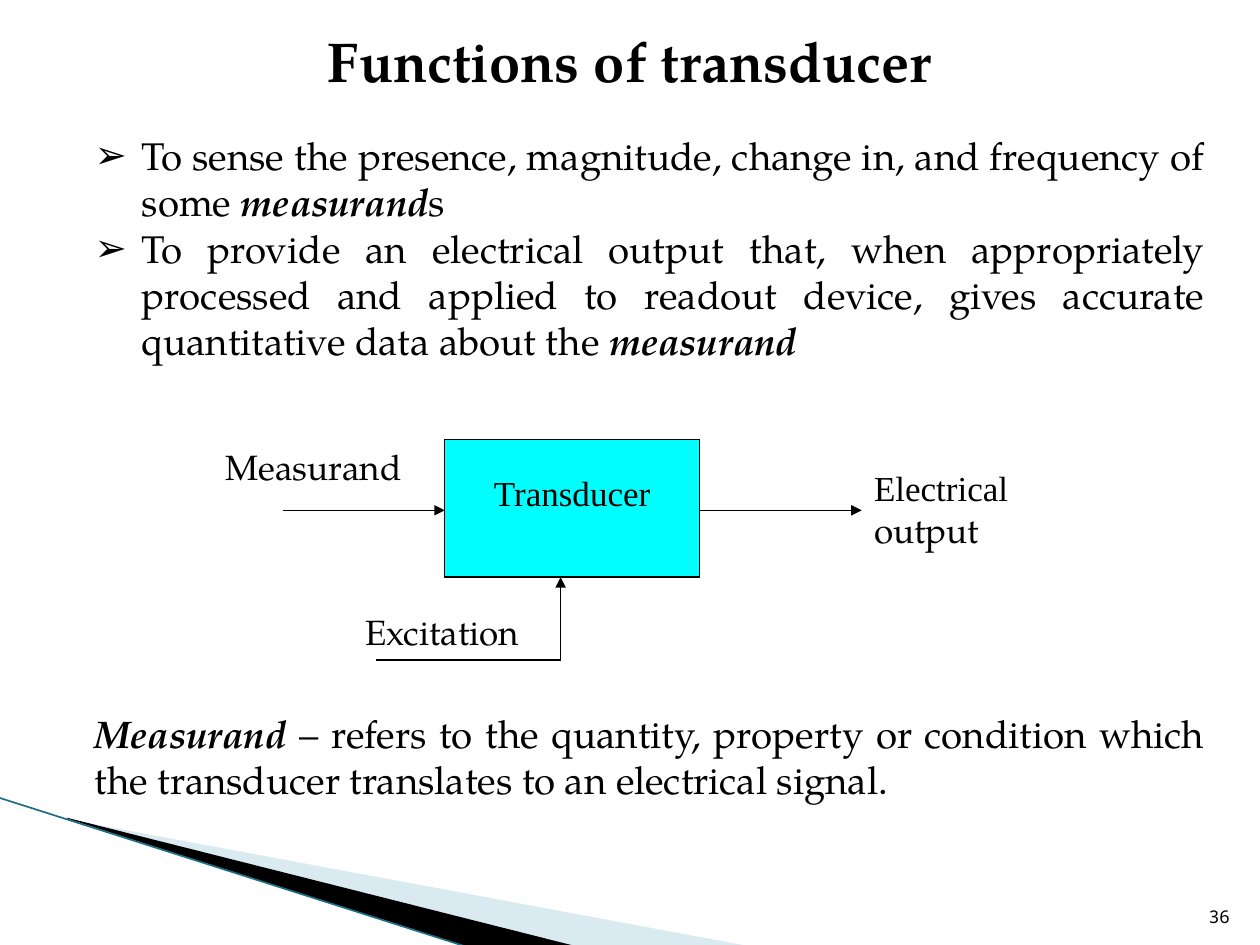
from lxml import etree
from pptx import Presentation
from pptx import util as u
from pptx.dml.color import RGBColor
from pptx.enum import shapes, text
from pptx.oxml.ns import qn

SERIF = "TeX Gyre Pagella"
ROMAN = "Times New Roman"
BLACK = "000000"


def color(value):
    return RGBColor.from_string(value)


def lengths(*points):
    return [u.Pt(point) for point in points]


class SlideBuilder:
    """Holds the current slide and its text and line style."""

    def __init__(self, deck):
        self.slide = deck.slides.add_slide(deck.slide_layouts[1])
        self.shapes = self.slide.shapes

    def style(self, font, size, name=SERIF, bold=None):
        font.size, font.name, font.bold = u.Pt(size), name, bold
        font.color.rgb = color(BLACK)

    def prepare(self, box, anchor):
        frame = box.text_frame
        frame.word_wrap = True
        frame.auto_size = text.MSO_AUTO_SIZE.NONE
        frame.vertical_anchor = anchor
        return frame

    def place(self, box, left, top, width, height):
        box.left, box.top, box.width, box.height = lengths(left, top, width, height)

    def title(self, words, *area):
        box = self.shapes.title
        self.place(box, *area)
        para = self.prepare(box, text.MSO_ANCHOR.MIDDLE).paragraphs[0]
        para.text = words
        para.alignment = text.PP_ALIGN.CENTER
        self.style(para.font, 32, bold=True)

    def body(self, items, *area):
        """Fill the body from (bullet, space before, runs); runs alternate plain and emphasised."""
        box = self.slide.placeholders[1]
        self.place(box, *area)
        frame = self.prepare(box, text.MSO_ANCHOR.TOP)
        for index, (bullet, space, runs) in enumerate(items):
            para = frame.add_paragraph() if index else frame.paragraphs[0]
            self.bullet(para, bullet)
            para.alignment = text.PP_ALIGN.JUSTIFY
            para.space_before = u.Pt(space)
            self.style(para.font, 22)
            for position, words in enumerate(runs):
                if words:
                    span = para.add_run()
                    span.text = words
                    if position % 2:
                        span.font.bold = span.font.italic = True

    def bullet(self, para, mark):
        props = para._p.get_or_add_pPr()
        indent = u.Pt(27) if mark else 0
        props.set("marL", str(indent))
        props.set("indent", str(-indent))
        if mark:
            etree.SubElement(props, qn("a:buChar"), char=mark)
        else:
            etree.SubElement(props, qn("a:buNone"))

    def label(self, runs, *area, size=20, align=text.PP_ALIGN.LEFT,
              anchor=text.MSO_ANCHOR.TOP):
        """Add a text box from (words, font name) runs."""
        box = self.shapes.add_textbox(*lengths(*area))
        para = self.prepare(box, anchor).paragraphs[0]
        para.alignment = align
        for words, name in runs:
            span = para.add_run()
            span.text = words
            self.style(span.font, size, name)

    def block(self, words, fill, *area):
        box = self.shapes.add_shape(shapes.MSO_SHAPE.RECTANGLE, *lengths(*area))
        box.shadow.inherit = False
        box.fill.solid()
        box.fill.fore_color.rgb = color(fill)
        box.line.color.rgb = color(BLACK)
        box.line.width = u.Pt(0.75)
        frame = self.prepare(box, text.MSO_ANCHOR.TOP)
        frame.margin_top = u.Pt(18)
        para = frame.paragraphs[0]
        para.text = words
        para.alignment = text.PP_ALIGN.CENTER
        self.style(para.font, 20, ROMAN)

    def line(self, *ends, stroke=BLACK, width=0.75, arrow=True):
        connector = self.shapes.add_connector(
            shapes.MSO_CONNECTOR.STRAIGHT, *lengths(*ends))
        connector.line.color.rgb = color(stroke)
        connector.line.width = u.Pt(width)
        if arrow:
            etree.SubElement(connector.line._get_or_add_ln(), qn("a:tailEnd"),
                             type="triangle")
        etree.SubElement(connector._element.spPr, qn("a:effectLst"))

    def wedge(self, points, fill, opacity=100):
        start, *rest = [lengths(*point) for point in points]
        builder = self.shapes.build_freeform(*start)
        builder.add_line_segments(rest, close=True)
        wedge = builder.convert_to_shape()
        wedge.shadow.inherit = False
        wedge.fill.solid()
        wedge.fill.fore_color.rgb = color(fill)
        wedge.line.fill.background()
        if opacity < 100:
            tint = wedge._element.spPr.find(qn("a:solidFill"))[0]
            etree.SubElement(tint, qn("a:alpha"), val=str(opacity * 1000))


def main():
    deck = Presentation()
    deck.slide_width, deck.slide_height = lengths(720, 540)
    page = SlideBuilder(deck)

    page.wedge([(39.6, 468.4), (428.4, 540.7), (328.3, 540.7), (39.6, 468)],
               "A0CBDC", opacity=40)
    page.wedge([(38.2, 467.3), (329, 540.7), (267.8, 541.4), (38.9, 468)], BLACK)
    page.line(-0.7, 455.8, 267.8, 541.4, stroke="1B7086", width=0.95, arrow=False)

    page.title("Functions of transducer", 36, 12.2, 648, 44.6)
    page.body([
        ("➢", 0, ["To sense the presence, magnitude, change in, and frequency of some ",
                  "measurand", "s"]),
        ("➢", 0, ["To provide an electrical output that, when appropriately processed "
                  "and applied to readout device, gives accurate quantitative data "
                  "about the ", "measurand"]),
        (None, 198, ["", "Measurand", " – refers to the quantity, property or condition "
                     "which the transducer translates to an electrical signal."]),
    ], 46.8, 72, 648.7, 426.2)
    page.label([("36", "Noto Sans Mono")], 681.1, 504.7, 28.8, 28.8, size=10,
               align=text.PP_ALIGN.RIGHT, anchor=text.MSO_ANCHOR.BOTTOM)

    left, top, width, height = 254.2, 251.3, 145.6, 78.5
    right, bottom = left + width, top + height
    signal, reach = 291.6, 92.6
    feed_x, feed_y = 320.4, 377.2
    page.block("Transducer", "00FFFF", left, top, width, height)
    page.line(left - reach, signal, left, signal)
    page.line(right, signal, right + reach, signal)
    page.line(feed_x, feed_y, feed_x, bottom)
    page.line(214.6, feed_y, feed_x, feed_y, arrow=False)
    page.label([("Electrical ", ROMAN), ("output", SERIF)],
               right + reach, 262.8, width, 47.5)
    page.label([("Measurand", SERIF)], 121.7, top, 118.8, 31.7)
    page.label([("Excitation", SERIF)], 201.6, 345.6, 118.8, 31.7)

    deck.save("out.pptx")


if __name__ == "__main__":
    main()
